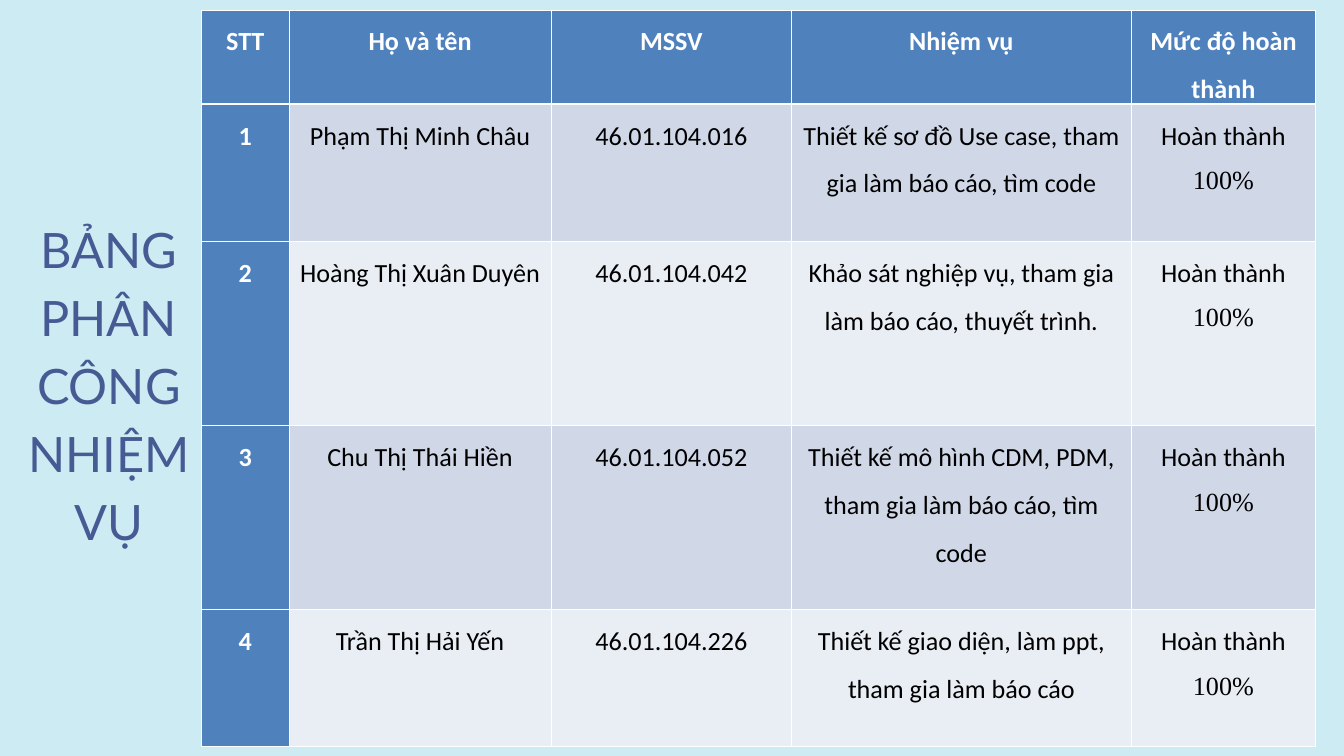
import pptx
import pptx.util
import pptx.dml.color
import pptx.enum.text
import pptx.oxml
import pptx.oxml.ns

Inches = pptx.util.Inches
Pt = pptx.util.Pt
RGBColor = pptx.dml.color.RGBColor
CENTER = pptx.enum.text.PP_ALIGN.CENTER

SKY = RGBColor(0xCC, 0xEB, 0xF3)
NAVY = RGBColor(0x46, 0x5A, 0x93)
BLUE = RGBColor(0x4F, 0x81, 0xBD)
BANDS = [RGBColor(0xD0, 0xD8, 0xE8), RGBColor(0xE9, 0xED, 0xF4)]
WHITE = RGBColor(0xFF, 0xFF, 0xFF)
BLACK = RGBColor(0, 0, 0)

TITLE = "BẢNG PHÂN CÔNG NHIỆM VỤ"
HEADS = ["STT", "Họ và tên", "MSSV", "Nhiệm vụ", "Mức độ hoàn thành"]
DONE = "Hoàn thành\n100%"
TASKS = [
    ("Phạm Thị Minh Châu", "46.01.104.016",
     "Thiết kế sơ đồ Use case, tham gia làm báo cáo, tìm code"),
    ("Hoàng Thị Xuân Duyên", "46.01.104.042",
     "Khảo sát nghiệp vụ, tham gia làm báo cáo, thuyết trình."),
    ("Chu Thị Thái Hiền", "46.01.104.052",
     "Thiết kế mô hình CDM, PDM, tham gia làm báo cáo, tìm code"),
    ("Trần Thị Hải Yến", "46.01.104.226",
     "Thiết kế giao diện, làm ppt, tham gia làm báo cáo"),
]
ROWS = [HEADS] + [[str(n), *task, DONE] for n, task in enumerate(TASKS, 1)]
WIDTHS = [1.3, 3.9, 3.58, 5.05, 2.75]
HEIGHTS = [1.33, 2.04, 2.74, 2.74, 2.04]

PAD = {"margin_left": Inches(0.07), "margin_right": Inches(0.07),
       "margin_top": 0, "margin_bottom": 0}
BARE = {"margin_left": 0, "margin_right": 0, "margin_top": 0,
        "margin_bottom": 0, "word_wrap": True}
LABEL = {"name": "Calibri", "size": Pt(28), "bold": True}
BODY = {**LABEL, "bold": False}
SCORE = {**BODY, "name": "Times New Roman"}
BIG = {"name": "Lato", "size": Pt(52.2), "bold": False}


def apply(thing, values):
    for key, value in values.items():
        setattr(thing, key, value)


def write(para, text, look, color, gap):
    apply(para, {"alignment": CENTER, "line_spacing": gap})
    run = para.add_run()
    run.text = text
    apply(run.font, look)
    run.font.color.rgb = color


def edge(cell, side, width):
    space = pptx.oxml.ns.nsdecls("a")
    line = pptx.oxml.parse_xml(
        f'<a:ln{side} {space} w="{Pt(width)}"><a:solidFill>'
        f'<a:srgbClr val="{WHITE}"/></a:solidFill></a:ln{side}>')
    cell._tc.get_or_add_tcPr().append(line)


def fill_cell(cell, text, row, col):
    head = row == 0 or col == 0
    apply(cell, PAD)
    thick = {"T": row == 1, "B": row == 0}
    for side in "LRTB":
        edge(cell, side, 3 if thick.get(side) else 1)
    cell.fill.solid()
    cell.fill.fore_color.rgb = BLUE if head else BANDS[(row - 1) % 2]
    frame = cell.text_frame
    for n, part in enumerate(text.split("\n")):
        para = frame.add_paragraph() if n else frame.paragraphs[0]
        look = LABEL if head else SCORE if n else BODY
        write(para, part, look, WHITE if head else BLACK, 1.5)


def main():
    deck = pptx.Presentation()
    apply(deck, {"slide_width": Inches(20), "slide_height": Inches(11.25)})
    slide = deck.slides.add_slide(deck.slide_layouts[6])
    slide.background.fill.solid()
    slide.background.fill.fore_color.rgb = SKY

    box = slide.shapes.add_textbox(
        Inches(-0.17), Inches(3.12), Inches(3.58), Inches(5.04))
    apply(box.text_frame, BARE)
    write(box.text_frame.paragraphs[0], TITLE, BIG, NAVY, Pt(73.1))

    table = slide.shapes.add_table(
        len(ROWS), len(HEADS), Inches(3), Inches(0.15),
        Inches(sum(WIDTHS)), Inches(sum(HEIGHTS))).table
    for col, width in zip(table.columns, WIDTHS):
        col.width = Inches(width)
    for row, height in zip(table.rows, HEIGHTS):
        row.height = Inches(height)
    for r, texts in enumerate(ROWS):
        for c, text in enumerate(texts):
            fill_cell(table.cell(r, c), text, r, c)

    deck.save("out.pptx")


if __name__ == "__main__":
    main()
